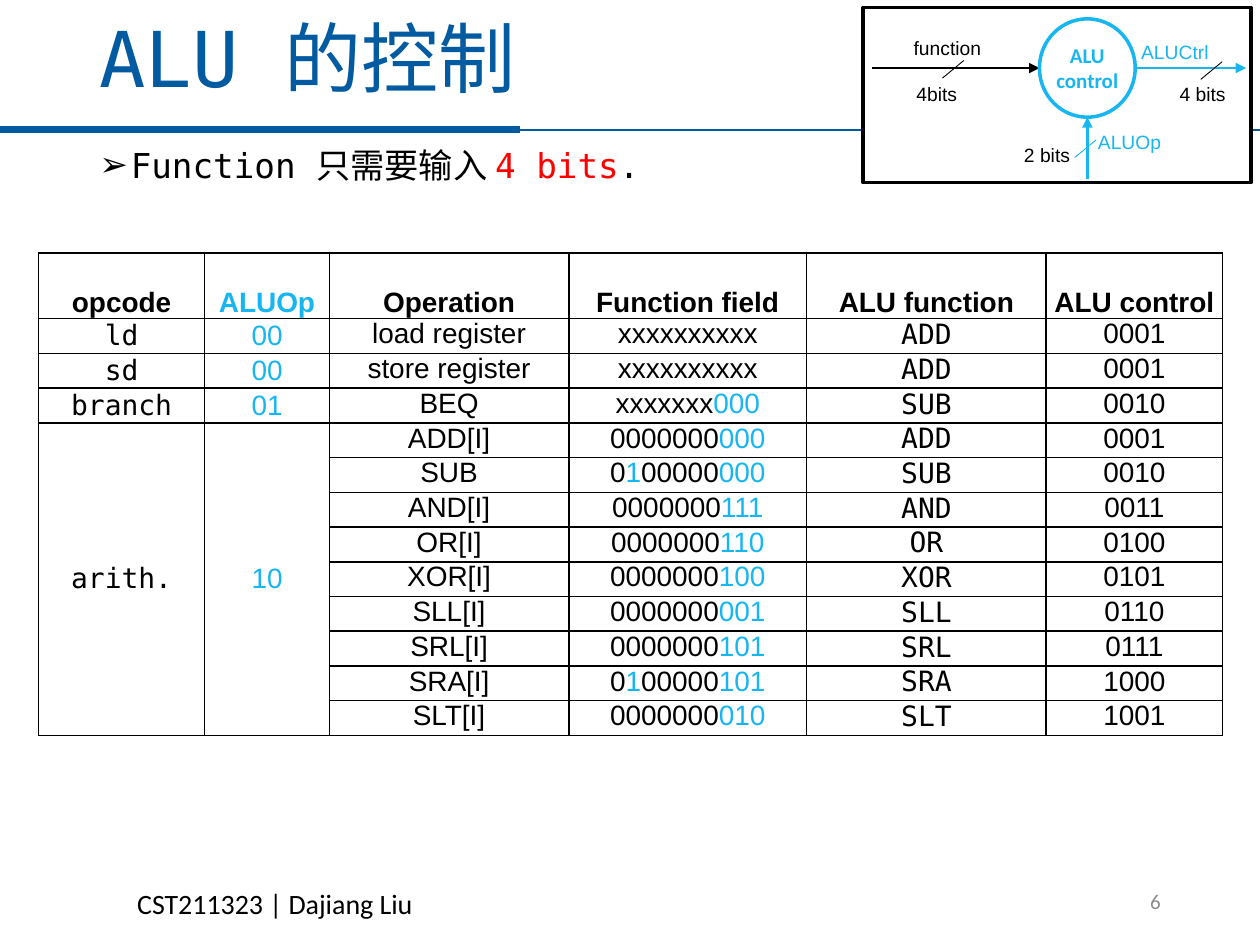
from dataclasses import dataclass

from lxml import etree
from pptx import Presentation
from pptx import util as u
from pptx.dml import color as c
from pptx.enum import shapes as es, text as et
from pptx.oxml import ns


@dataclass(frozen=True)
class Theme:
    ink: str = "000000"
    paper: str = "FFFFFF"
    navy: str = "025AA0"
    sky: str = "17B6F1"
    red: str = "FF0000"
    grey: str = "8C8C8C"
    sans: str = "Arial"
    mono: str = "DejaVu Sans Mono"
    plain: str = "Calibri"
    title: float = 44
    body: float = 19.6
    cell: float = 16
    small: float = 12
    label: float = 11


T = Theme()
LEFT, MID, RIGHT = et.PP_ALIGN.LEFT, et.PP_ALIGN.CENTER, et.PP_ALIGN.RIGHT
TOP, HALF, BASE = et.MSO_ANCHOR.TOP, et.MSO_ANCHOR.MIDDLE, et.MSO_ANCHOR.BOTTOM
BOX, OVAL = es.MSO_SHAPE.RECTANGLE, es.MSO_SHAPE.OVAL
MARK = "*"  # text between two marks takes the accent colour

WIDE, HIGH = 720, 540
EDGE = 49.68   # left side of title and body
RULE = 74.16   # height of the line under the title

# Table: heading, column width
HEAD = [("opcode", 95), ("ALUOp", 71.25), ("Operation", 136.8),
        ("Function field", 136), ("ALU function", 136.8), ("ALU control", 100.8)]
# Opcode, ALUOp, then the operations that share them
GROUPS = [
    ("ld", "00", [("load register", "xxxxxxxxxx", "ADD", "0001")]),
    ("sd", "00", [("store register", "xxxxxxxxxx", "ADD", "0001")]),
    ("branch", "01", [("BEQ", "xxxxxxx*000", "SUB", "0010")]),
    ("arith.", "10", [
        ("ADD[I]", "0000000*000", "ADD", "0001"),
        ("SUB", "0*1*00000*000", "SUB", "0010"),
        ("AND[I]", "0000000*111", "AND", "0011"),
        ("OR[I]", "0000000*110", "OR", "0100"),
        ("XOR[I]", "0000000*100", "XOR", "0101"),
        ("SLL[I]", "0000000*001", "SLL", "0110"),
        ("SRL[I]", "0000000*101", "SRL", "0111"),
        ("SRA[I]", "0*1*00000*101", "SRA", "1000"),
        ("SLT[I]", "0000000*010", "SLT", "1001"),
    ]),
]
CODE, OP, FUNC = 0, 1, 4  # columns with a look of their own
HEAD_HIGH, ROW_HIGH = 37.44, 19.86

# Scheme: the ring, and the signals that meet it
RING = (594, 10.8, 54.72, 56.16)
AXIS_X = RING[0] + RING[2] / 2
AXIS_Y = RING[1] + RING[3] / 2
WIRES = [
    ((498.24, AXIS_Y, RING[0], AXIS_Y), T.ink),
    ((RING[0] + RING[2], AXIS_Y, 712.08, AXIS_Y), T.sky),
    ((AXIS_X, 102.24, AXIS_X, RING[1] + RING[3]), T.sky),
]
LABELS = [  # words, left, top, width, colour
    ("function", 496.8, 20.88, 89.28, T.ink),
    ("4bits", 514.8, 46.8, 41.04, T.ink),
    ("ALUCtrl", 651.6, 23.04, 39.6, T.sky),
    ("4 bits", 666.72, 46.8, 41.04, T.ink),
    ("ALUOp", 625.68, 74.16, 39.6, T.sky),
    ("2 bits", 583.2, 82.08, 30.24, T.ink),
]
LABEL_HIGH = 13.68
SLASHES = [(550.8, 34.56, T.ink), (698.4, 35.28, T.ink), (626.4, 79.92, T.sky)]
SLASH_W, SLASH_H = 12.24, 10.08


def rgb(tint):
    return c.RGBColor.from_string(tint)


def node(home, tag, **attrs):
    return etree.SubElement(home, ns.qn("a:" + tag), **attrs)


def clear(item):
    """Take away the inner margins of a cell or text frame."""
    item.margin_left = item.margin_right = 0
    item.margin_top = item.margin_bottom = 0


def write(frame, words, size, font=T.sans, tint=T.ink, accent=T.sky,
          bold=False, align=LEFT, space=1.0):
    """Fill the first paragraph; marked pieces take the accent colour."""
    para = frame.paragraphs[0]
    para.alignment, para.line_spacing = align, space
    for i, piece in enumerate(words.split(MARK)):
        run = para.add_run()
        run.text = piece
        run.font.size, run.font.name, run.font.bold = u.Pt(size), font, bold
        run.font.color.rgb = rgb(accent if i % 2 else tint)
    return para


def add_text(slide, box, words, size, anchor=TOP, wrap=True, **look):
    frame = slide.shapes.add_textbox(*map(u.Pt, box)).text_frame
    frame.word_wrap, frame.vertical_anchor = wrap, anchor
    return write(frame, words, size, **look)


def add_shape(slide, kind, box, edge=None, anchor=TOP):
    """Add a white shape and return its text frame."""
    shape = slide.shapes.add_shape(kind, *map(u.Pt, box))
    shape.shadow.inherit = False
    shape.fill.solid()
    shape.fill.fore_color.rgb = rgb(T.paper)
    if edge:
        shape.line.color.rgb = rgb(edge)
        shape.line.width = u.Pt(2)
    else:
        shape.line.fill.background()
    frame = shape.text_frame
    clear(frame)
    frame.word_wrap, frame.vertical_anchor = True, anchor
    return frame


def add_line(slide, ends, tint, width, arrow=False):
    wire = slide.shapes.add_connector(es.MSO_CONNECTOR.STRAIGHT, *map(u.Pt, ends))
    wire.line.color.rgb = rgb(tint)
    wire.line.width = u.Pt(width)
    props = wire._element.spPr
    if arrow:
        node(props.find(ns.qn("a:ln")), "tailEnd", type="triangle")
    node(props, "effectLst")


def add_bullet(para, sign, indent):
    props = para._p.get_or_add_pPr()
    props.set("marL", str(u.Pt(indent)))
    props.set("indent", str(u.Pt(-indent)))
    node(props, "buFont", typeface=T.sans)
    node(props, "buChar", char=sign)


def fill_cell(cell, words, anchor=TOP, **look):
    write(cell.text_frame, words, T.cell, align=MID, **look)
    cell.vertical_anchor = anchor


def frame_cell(cell):
    props = cell._tc.get_or_add_tcPr()
    for side in ("lnL", "lnR", "lnT", "lnB"):
        edge = node(props, side, w=str(u.Pt(1)))
        node(node(edge, "solidFill"), "srgbClr", val=T.ink)
    cell.fill.background()
    clear(cell)


def add_grid(slide):
    count = 1 + sum(len(ops) for _, _, ops in GROUPS)
    box = (22, 144.72, sum(w for _, w in HEAD), HEAD_HIGH + ROW_HIGH * (count - 1))
    grid = slide.shapes.add_table(count, len(HEAD), *map(u.Pt, box)).table
    grid.first_row = grid.horz_banding = False
    for i, row in enumerate(grid.rows):
        row.height = u.Pt(ROW_HIGH if i else HEAD_HIGH)
        for cell in row.cells:
            frame_cell(cell)
    tints, fonts = {OP: T.sky}, {CODE: T.mono, FUNC: T.mono}
    for k, (name, width) in enumerate(HEAD):
        grid.columns[k].width = u.Pt(width)
        fill_cell(grid.cell(0, k), name, BASE, bold=True, tint=tints.get(k, T.ink))
    first = 1
    for code, op, ops in GROUPS:
        last = first + len(ops) - 1
        for k, word in ((CODE, code), (OP, op)):
            if last > first:
                grid.cell(first, k).merge(grid.cell(last, k))
            fill_cell(grid.cell(first, k), word, HALF, tint=tints.get(k, T.ink),
                      font=fonts.get(k, T.sans))
        for r, words in enumerate(ops, first):
            for k, word in enumerate(words, OP + 1):
                fill_cell(grid.cell(r, k), word, font=fonts.get(k, T.sans))
        first = last + 1


def add_scheme(slide):
    """Draw the ALU control block with its three signals."""
    add_shape(slide, BOX, (493.2, 4.32, 221.76, 100.08), T.ink)
    for words, x, y, width, tint in LABELS:
        frame = add_shape(slide, BOX, (x, y, width, LABEL_HIGH))
        write(frame, words, T.label, tint=tint, align=MID)
    for ends, tint in WIRES:
        add_line(slide, ends, tint, 1.5, arrow=True)
    for x, y, tint in SLASHES:
        add_line(slide, (x, y, x - SLASH_W, y + SLASH_H), tint, 0.5)
    ring = add_shape(slide, OVAL, RING, T.sky, HALF)
    write(ring, "ALU control", T.small, font=T.plain, tint=T.sky, bold=True, align=MID)


def add_frame(slide):
    """Add the title with its rules, the footer and the page number."""
    add_line(slide, (0, RULE, 297.36, RULE), T.navy, 4)
    add_line(slide, (27.36, RULE, WIDE, RULE), T.navy, 1)
    add_text(slide, (EDGE, 7.92, 620.64, 56.16), "ALU 的控制", T.title, HALF,
             font=T.mono, tint=T.navy, space=0.9)
    add_text(slide, (71.28, 503.28, 173.52, 26.64), "CST211323 | Dajiang Liu",
             T.cell, wrap=False, font=T.plain)
    add_text(slide, (508.32, 500.4, 162, 28.8), "6", T.small, HALF,
             font=T.plain, tint=T.grey, align=RIGHT)


def main():
    deck = Presentation()
    deck.slide_width, deck.slide_height = u.Pt(WIDE), u.Pt(HIGH)
    slide = deck.slides.add_slide(deck.slide_layouts[6])
    add_frame(slide)
    point = add_text(slide, (EDGE, 81.36, 604.08, 28.8), "Function 只需要输入 *4 bits*.",
                     T.body, font=T.mono, accent=T.red, space=0.9)
    point.space_before = u.Pt(10)
    add_bullet(point, "➢", 18)
    add_grid(slide)
    add_scheme(slide)
    deck.save("out.pptx")


if __name__ == "__main__":
    main()
